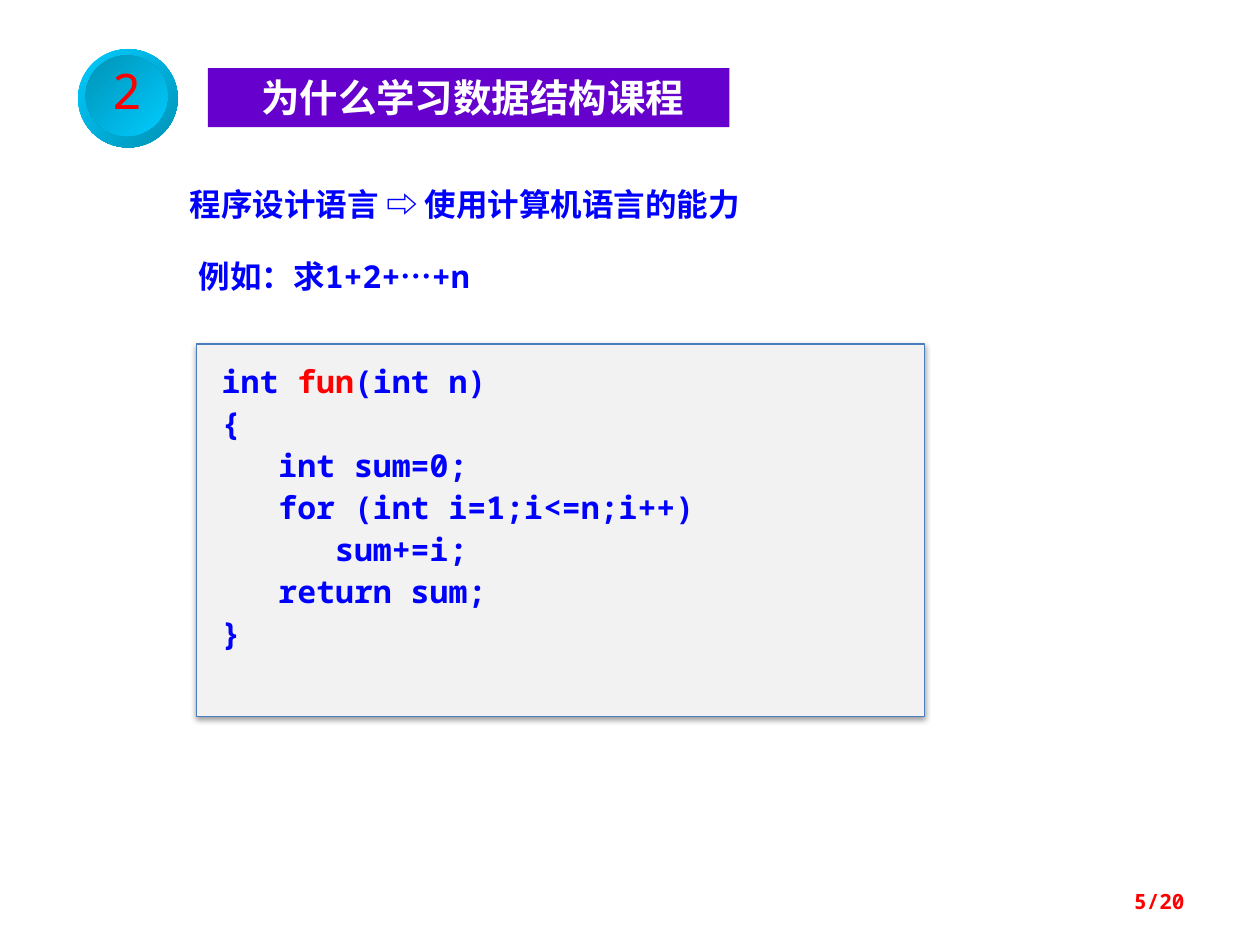
from lxml import etree
from pptx import Presentation
from pptx.dml.color import RGBColor
from pptx.enum import shapes, text
from pptx.oxml import ns
from pptx.util import Inches, Pt

WHITE = RGBColor(0xFF, 0xFF, 0xFF)
RED = RGBColor(0xFF, 0, 0)
BLUE = RGBColor(0, 0, 0xFF)
PURPLE = RGBColor(0x66, 0, 0xCC)
PALE = RGBColor(0xF2, 0xF2, 0xF2)
OUTLINE = RGBColor(0x4B, 0x7E, 0xBC)
CYAN = RGBColor(0, 0xCC, 0xFF)
TEAL = RGBColor(0, 0x92, 0xB6)
CJK = "Noto Sans CJK SC"
MONO = "Noto Sans Mono"

TITLE = [[("为什么学习数据结构课程", WHITE, CJK)]]
NUMBER = [[("2", RED, MONO)]]
TOPIC = [[("程序设计语言 ⇨ 使用计算机语言的能力", BLUE, CJK)]]
EXAMPLE = [[("例如：求1+2+", BLUE, MONO), ("…", BLUE, CJK), ("+n", BLUE, MONO)]]
CODE = [[("int ", BLUE, MONO), ("fun", RED, MONO), ("(int n)", BLUE, MONO)]] + [
    [(line, BLUE, MONO)] for line in (
        "{",
        "   int sum=0;",
        "   for (int i=1;i<=n;i++)",
        "      sum+=i;",
        "   return sum;",
        "}",
    )
]
PAGE_NUMBER = [[("5/20", RED, MONO)]]


def add_shape(page, kind, place):
    shape = page.shapes.add_shape(kind, *map(Inches, place))
    shape.shadow.inherit = False
    shape.line.fill.background()
    return shape


def add_disc(page, place, start, end):
    disc = add_shape(page, shapes.MSO_SHAPE.OVAL, place)
    disc.fill.gradient()
    disc.fill.gradient_angle = 315
    for stop, color, position in zip(disc.fill.gradient_stops, (start, end), (0, 1)):
        stop.color.rgb = color
        stop.position = position
    return disc


def add_shadow(shape):
    effects = shape._element.spPr.find(ns.qn("a:effectLst"))
    shadow = etree.SubElement(effects, ns.qn("a:outerShdw"), blurRad=str(Pt(3.1)),
                              dist=str(Pt(1.6)), dir="5400000", rotWithShape="0")
    color = etree.SubElement(shadow, ns.qn("a:srgbClr"), val="000000")
    etree.SubElement(color, ns.qn("a:alpha"), val="38000")


def write(box, lines, size, align=text.PP_ALIGN.LEFT, anchor=text.MSO_ANCHOR.TOP,
          insets=(0.1, 0.05, 0.1, 0.05), spacing=None, bold=True, wrap=True):
    frame = box.text_frame
    frame.word_wrap = wrap
    frame.vertical_anchor = anchor
    (frame.margin_left, frame.margin_top,
     frame.margin_right, frame.margin_bottom) = map(Inches, insets)
    for index, runs in enumerate(lines):
        para = frame.add_paragraph() if index else frame.paragraphs[0]
        para.alignment = align
        para.line_spacing = spacing
        if index:
            para.space_before = Pt(6.7)
        for words, color, face in runs:
            span = para.add_run()
            span.text = words
            span.font.size = Pt(size)
            span.font.bold = bold
            span.font.name = face
            span.font.color.rgb = color
            etree.SubElement(span.font._element, ns.qn("a:ea"), typeface=CJK)


def add_text(page, place, lines, size, **style):
    write(page.shapes.add_textbox(*map(Inches, place)), lines, size, **style)


def main():
    deck = Presentation()
    deck.slide_width, deck.slide_height = Inches(10), Inches(7.5)
    page = deck.slides.add_slide(deck.slide_layouts[6])
    center, middle = text.PP_ALIGN.CENTER, text.MSO_ANCHOR.MIDDLE

    banner = add_shape(page, shapes.MSO_SHAPE.RECTANGLE, (1.65, 0.54, 4.14, 0.47))
    banner.fill.solid()
    banner.fill.fore_color.rgb = PURPLE
    write(banner, TITLE, 22, align=center, insets=(0.16, 0.05, 0.1, 0.05))

    add_disc(page, (0.62, 0.39, 0.79, 0.78), CYAN, TEAL)
    badge = add_disc(page, (0.68, 0.44, 0.65, 0.64), TEAL, CYAN)
    write(badge, NUMBER, 28, align=center, anchor=middle, spacing=0.8,
          bold=False, wrap=False)

    add_text(page, (1.41, 1.48, 6.33, 0.34), TOPIC, 18, spacing=0.8)
    add_text(page, (1.48, 2.05, 2.73, 0.34), EXAMPLE, 18, spacing=0.8)

    panel = add_shape(page, shapes.MSO_SHAPE.RECTANGLE, (1.56, 2.73, 5.78, 2.96))
    panel.fill.solid()
    panel.fill.fore_color.rgb = PALE
    panel.line.color.rgb = OUTLINE
    panel.line.width = Pt(0.75)
    add_shadow(panel)
    write(panel, CODE, 18, insets=(0.2, 0.2, 0.2, 0.16), spacing=0.8)

    add_text(page, (7.17, 6.95, 2.33, 0.4), PAGE_NUMBER, 12,
             align=text.PP_ALIGN.RIGHT, anchor=middle)
    deck.save("out.pptx")


if __name__ == "__main__":
    main()
